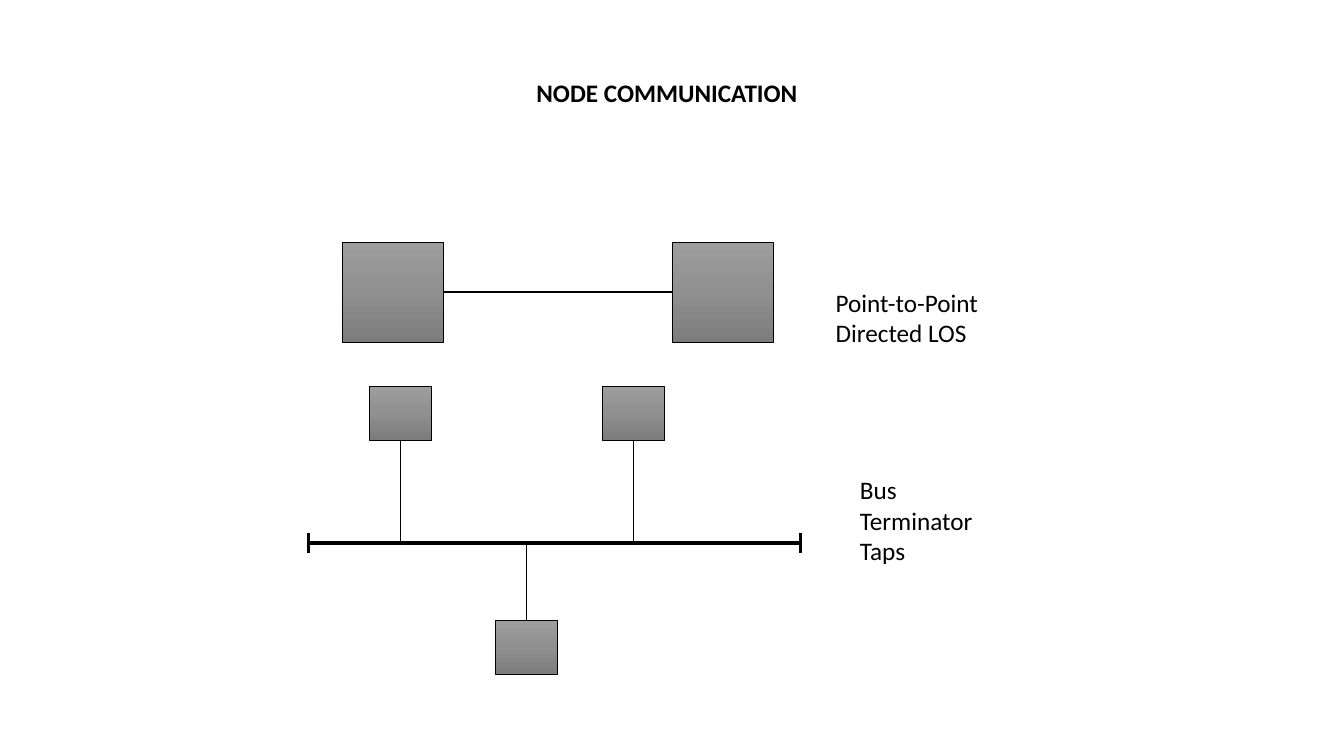
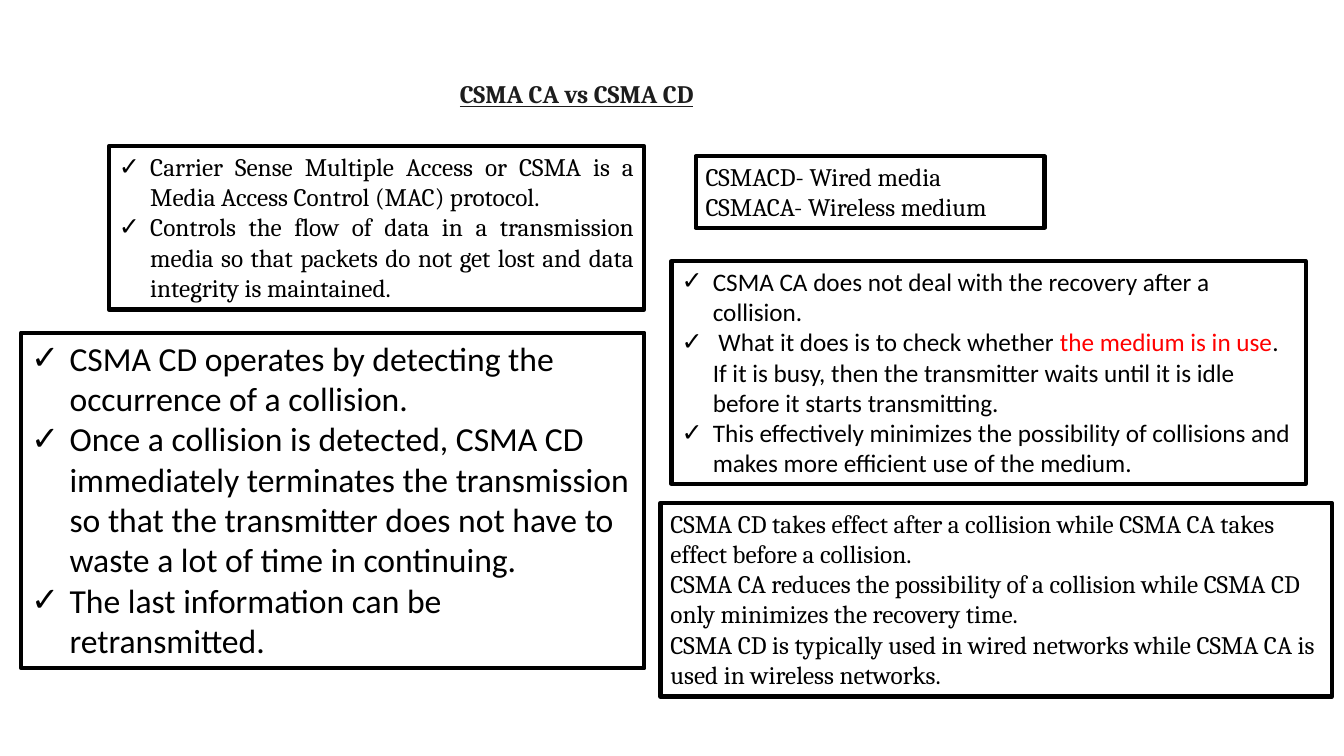
from copy import deepcopy

from lxml.etree import SubElement
from pptx import Presentation
from pptx.dml.color import RGBColor
from pptx.enum.shapes import MSO_CONNECTOR as Link, MSO_SHAPE as Preset
from pptx.enum.text import MSO_ANCHOR as Anchor, MSO_AUTO_SIZE as AutoSize, PP_ALIGN as Align
from pptx.oxml.ns import qn
from pptx.util import Pt

PX = 9144
BLACK = RGBColor(0x00, 0x00, 0x00)
CHARCOAL = RGBColor(0x1D, 0x1D, 0x1D)
RED = RGBColor(0xFF, 0x00, 0x00)
NODE_SHADES = (
    (0, RGBColor(0x9D, 0x9D, 0x9D)),
    (0.5, RGBColor(0x90, 0x90, 0x90)),
    (1, RGBColor(0x7C, 0x7C, 0x7C)),
)
SANS, SERIF = "Calibri", "Cambria"
TITLE_ONLY, COMPARISON = 5, 4


class Deck:
    """Hold the shared style and draw elements on the current slide."""

    def __init__(self):
        self.prs = Presentation()
        self.prs.slide_width, self.prs.slide_height = 1333 * PX, 750 * PX
        self.slide = None

    def new_slide(self, layout):
        self.slide = self.prs.slides.add_slide(self.prs.slide_layouts[layout])

    def place(self, holder, left, top, width, height):
        holder.left, holder.top = left * PX, top * PX
        holder.width, holder.height = width * PX, height * PX

    def set_lines(self, holder, lines, font=SANS, size=18, color=BLACK, bold=False,
                  underline=False, align=Align.LEFT, indent=0):
        frame = holder.text_frame
        frame.auto_size = AutoSize.NONE
        frame.word_wrap = True
        frame.vertical_anchor = Anchor.TOP
        frame.text = "\n".join(line.split("|")[0] for line in lines)
        for paragraph, line in zip(frame.paragraphs, lines):
            for piece in line.split("|")[1:]:
                paragraph.add_run().text = piece
            paragraph.alignment = align
            paragraph.line_spacing = 1.0
            paragraph.space_before = paragraph.space_after = Pt(0)
            self.bullet(paragraph, indent)
            for number, run in enumerate(paragraph.runs):
                run.font.name, run.font.size = font, Pt(size)
                run.font.bold, run.font.underline = bold, underline
                run.font.color.rgb = RED if number % 2 else color

    def bullet(self, paragraph, indent):
        props = paragraph._p.get_or_add_pPr()
        props.set("marL", str(indent * PX))
        props.set("indent", str(-indent * PX))
        if indent:
            SubElement(props, qn("a:buChar")).set("char", "✓")
        else:
            SubElement(props, qn("a:buNone"))

    def title(self, text, left, top, width, **style):
        heading = self.slide.shapes.title
        self.place(heading, left, top, width, 40)
        self.set_lines(heading, [text], bold=True, **style)

    def label(self, lines, left, top, width, height, **style):
        note = self.slide.shapes.add_textbox(left * PX, top * PX, width * PX, height * PX)
        self.set_lines(note, lines, **style)
        return note

    def frame(self, holder):
        holder.line.color.rgb = BLACK
        holder.line.width = Pt(3)

    def framed_label(self, lines, *bounds, **style):
        self.frame(self.label(lines, *bounds, **style))

    def framed_body(self, index, lines, *bounds, **style):
        body = self.slide.placeholders[index]
        self.place(body, *bounds)
        self.set_lines(body, lines, **style)
        self.frame(body)

    def node(self, left, top, width, height):
        square = self.slide.shapes.add_shape(
            Preset.RECTANGLE, left * PX, top * PX, width * PX, height * PX)
        square.shadow.inherit = False
        square.line.color.rgb = BLACK
        square.line.width = Pt(0.5)
        square.fill.gradient()
        square.fill.gradient_angle = 270
        stops = square._element.spPr.find(".//" + qn("a:gsLst"))
        stops.insert(1, deepcopy(stops[0]))
        for stop, (position, shade) in zip(square.fill.gradient_stops, NODE_SHADES):
            stop.position = position
            stop.color.rgb = shade

    def wire(self, x1, y1, x2, y2, weight):
        link = self.slide.shapes.add_connector(
            Link.STRAIGHT, x1 * PX, y1 * PX, x2 * PX, y2 * PX)
        link.line.color.rgb = BLACK
        link.line.width = Pt(weight)
        SubElement(link._element.spPr, qn("a:effectLst"))


def node_communication(deck):
    deck.new_slide(TITLE_ONLY)
    deck.title("NODE COMMUNICATION", 522, 72, 300)

    peer, peer_top = 100, 240
    left_peer, right_peer = 340, 667
    for left in (left_peer, right_peer):
        deck.node(left, peer_top, peer, peer)
    middle = peer_top + peer // 2
    deck.wire(left_peer + peer, middle, right_peer, middle, 1.5)

    bus_start, bus_end, bus_y = 306, 794, 539
    deck.wire(bus_start, bus_y, bus_end, bus_y, 3)
    for terminator in (bus_start, bus_end):
        deck.wire(terminator, bus_y - 10, terminator, bus_y + 10, 1.5)

    station_width, station_height = 62, 54
    for tap, top in ((397, 383), (628, 383), (522, 615)):
        deck.node(tap - station_width // 2, top, station_width, station_height)
        edge = top + station_height if top < bus_y else top
        deck.wire(tap, edge, tap, bus_y, 0.5)

    deck.label(["Point-to-Point", "Directed LOS"], 819, 280, 180, 71)
    deck.label(["Bus", "Terminator", "Taps"], 843, 466, 277, 131)


def csma_comparison(deck):
    deck.new_slide(COMPARISON)
    deck.title("CSMA CA vs CSMA CD", 446, 73, 308,
               font=SERIF, color=CHARCOAL, underline=True)
    deck.framed_body(1, [
        "Carrier Sense Multiple Access or CSMA is a Media Access Control (MAC) protocol.",
        "Controls the flow of data in a transmission media so that packets do not get lost "
        "and data integrity is maintained.",
    ], 108, 145, 531, 162, font=SERIF, align=Align.JUSTIFY, indent=31)
    deck.framed_body(2, [
        "CSMA CD operates by detecting the occurrence of a collision.",
        "Once a collision is detected, CSMA CD immediately terminates the transmission so that "
        "the transmitter does not have to waste a lot of time in continuing.",
        "The last information can be retransmitted.",
    ], 21, 330, 618, 333, size=24, indent=38)
    deck.framed_body(3, [
        "CSMA CA does not deal with the recovery after a collision.",
        " What it does is to check whether |the medium is in use|. If it is busy, then the "
        "transmitter waits until it is idle before it starts transmitting.",
        "This effectively minimizes the possibility of collisions and makes more efficient use "
        "of the medium.",
    ], 666, 259, 629, 221, indent=31)
    deck.framed_body(4, [
        "CSMA CD takes effect after a collision while CSMA CA takes effect before a collision.",
        "CSMA CA reduces the possibility of a collision while CSMA CD only minimizes the "
        "recovery time.",
        "CSMA CD is typically used in wired networks while CSMA CA is used in wireless networks.",
    ], 655, 499, 666, 192, font=SERIF)
    deck.framed_label(["CSMACD- Wired media", "CSMACA- Wireless medium"],
                      690, 155, 346, 71, font=SERIF, align=Align.JUSTIFY)


def main():
    deck = Deck()
    node_communication(deck)
    csma_comparison(deck)
    deck.prs.save("out.pptx")


if __name__ == "__main__":
    main()
